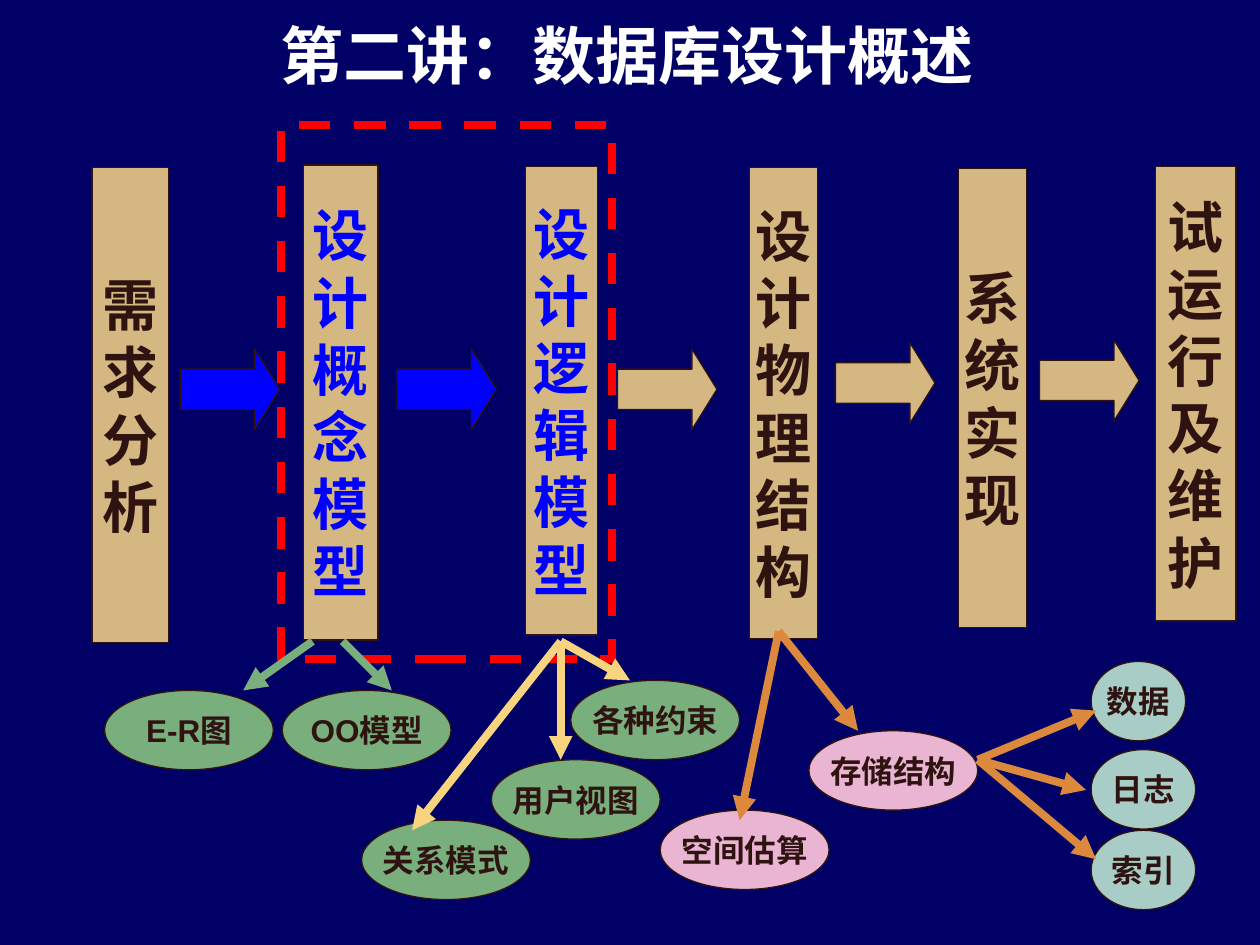
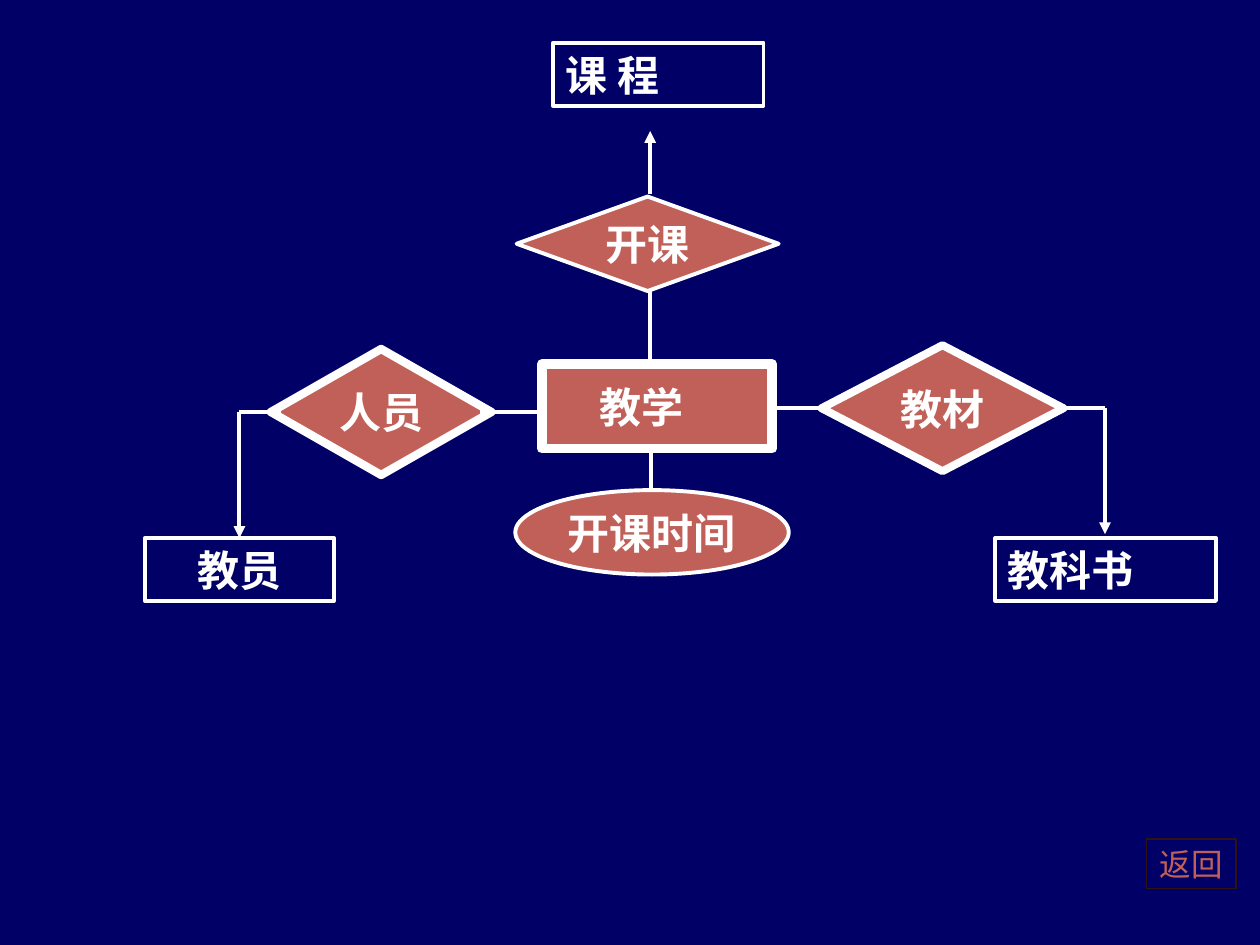
import pptx
import pptx.dml.color
import pptx.enum.dml
import pptx.enum.shapes
import pptx.enum.text
import pptx.oxml.ns
import pptx.util
from lxml import etree

Inches = pptx.util.Inches
Pt = pptx.util.Pt
SHAPE = pptx.enum.shapes.MSO_SHAPE
ALIGN = pptx.enum.text.PP_ALIGN
ANCHOR = pptx.enum.text.MSO_ANCHOR

COLOURS = {
    "navy": "000066", "white": "FFFFFF", "brown": "2F1311", "tan": "D5B781",
    "blue": "0000FF", "red": "FF0000", "green": "79AF7D", "yellow": "F7D47D",
    "pink": "E9B5D3", "orange": "DC893E", "teal": "A8CCC6", "brick": "C16059",
}
CJK_FONT = "Noto Sans CJK SC"
LABEL = {"name": "Arial", "size": Pt(18), "bold": True}
STAGE = {"name": CJK_FONT, "size": Pt(32), "bold": True}
ENTITY = {"name": CJK_FONT, "size": Pt(24), "bold": True}
TITLE = {"name": "Arial", "size": Pt(36), "bold": True}


def set_values(target, values):
    for name, value in values.items():
        setattr(target, name, value)


def colour(name):
    return pptx.dml.color.RGBColor.from_string(COLOURS[name])


def add_element(parent, tag, **attributes):
    etree.SubElement(parent, pptx.oxml.ns.qn(tag), attributes)


class Deck:
    """Holds the presentation, the current page and the place new shapes go."""

    def __init__(self):
        self.deck = pptx.Presentation()
        set_values(self.deck, {"slide_width": Inches(10), "slide_height": Inches(7.5)})

    def new_page(self):
        self.page = self.deck.slides.add_slide(self.deck.slide_layouts[6])
        self.page.background.fill.solid()
        self.page.background.fill.fore_color.rgb = colour("navy")
        self.shapes = self.page.shapes

    def start_group(self):
        self.shapes = self.page.shapes.add_group_shape().shapes

    def end_group(self):
        self.shapes = self.page.shapes

    def shape(self, kind, place, fill=None, line="brown", width=0.75):
        box = self.shapes.add_shape(kind, *map(Inches, place))
        box.shadow.inherit = False
        if fill:
            box.fill.solid()
            box.fill.fore_color.rgb = colour(fill)
        else:
            box.fill.background()
        box.line.color.rgb = colour(line)
        box.line.width = Pt(width)
        return box

    def add_text(self, box, lines, style, ink, align=ALIGN.CENTER, **frame_values):
        """Set one paragraph per item of lines."""
        frame = box.text_frame
        set_values(frame, {"word_wrap": False, "vertical_anchor": ANCHOR.MIDDLE, **frame_values})
        for index, text in enumerate(lines):
            para = frame.add_paragraph() if index else frame.paragraphs[0]
            para.alignment = align
            span = para.add_run()
            span.text = text
            set_values(span.font, style)
            span.font.color.rgb = colour(ink)
            add_element(span.font._element, "a:ea", typeface=CJK_FONT)

    def title(self, text):
        box = self.shapes.add_textbox(*map(Inches, (1.36, 0.13, 7.24, 0.6)))
        no_margins = dict.fromkeys(
            ("margin_left", "margin_top", "margin_right", "margin_bottom"), 0)
        self.add_text(box, [text], TITLE, "white", word_wrap=True, **no_margins)

    def stage(self, text, place, ink="brown"):
        """Draw a tall bar with its text set one character a line."""
        self.add_text(self.shape(SHAPE.RECTANGLE, place, "tan"), text, STAGE, ink)

    def step_arrow(self, left, top, fill):
        arrow = self.shape(SHAPE.RIGHT_ARROW, (left, top, 0.79, 0.64), fill)
        arrow.adjustments[1] = 0.31

    def bubble(self, text, left, top, fill, width=1.34):
        box = self.shape(SHAPE.OVAL, (left, top, width, 0.63), fill)
        self.add_text(box, [text], LABEL, "brown")

    def node(self, kind, text, place, width=2.25, **frame_values):
        box = self.shape(kind, place, "brick", "white", width)
        self.add_text(box, [text], ENTITY, "white", **frame_values)

    def entity(self, text, place, align=ALIGN.LEFT):
        box = self.shape(SHAPE.RECTANGLE, place, None, "white", 2.25)
        self.add_text(box, [text], ENTITY, "white", align,
                      word_wrap=True, vertical_anchor=ANCHOR.TOP)

    def link(self, start, end, ink="white", width=2.25, arrow=False):
        line = self.shapes.add_connector(
            pptx.enum.shapes.MSO_CONNECTOR.STRAIGHT, *map(Inches, (*start, *end)))
        line.line.color.rgb = colour(ink)
        line.line.width = Pt(width)
        properties = line.element.spPr
        if arrow:
            add_element(properties.find(pptx.oxml.ns.qn("a:ln")), "a:tailEnd", type="triangle")
        add_element(properties, "a:effectLst")

    def fan(self, start, ends, ink):
        """Draw thick arrows from one point to several."""
        for end in ends:
            self.link(start, end, ink, 4.5, arrow=True)


def build_design_stages(deck):
    deck.new_page()
    for text, place, ink in (
        ("需求分析", (0.73, 1.33, 0.61, 3.77), "brown"),
        ("设计概念模型", (2.41, 1.31, 0.59, 3.77), "blue"),
        ("设计逻辑模型", (4.17, 1.32, 0.57, 3.72), "blue"),
        ("设计物理结构", (5.95, 1.33, 0.54, 3.74), "brown"),
        ("系统实现", (7.61, 1.34, 0.54, 3.64), "brown"),
        ("试运行及维护", (9.17, 1.32, 0.64, 3.61), "brown"),
    ):
        deck.stage(text, place, ink)
    for left, top, fill in (
        (1.43, 2.77, "blue"), (3.15, 2.77, "blue"), (4.9, 2.77, "tan"),
        (6.63, 2.72, "tan"), (8.25, 2.7, "tan"),
    ):
        deck.step_arrow(left, top, fill)

    focus = deck.shape(SHAPE.RECTANGLE, (2.23, 0.99, 2.63, 4.24), None, "red", 4.5)
    focus.line.dash_style = pptx.enum.dml.MSO_LINE.DASH

    deck.bubble("E-R图", 0.83, 5.48, "green")
    deck.bubble("OO模型", 2.24, 5.48, "green")
    deck.fan((2.48, 5.09), [(1.93, 5.48)], "green")
    deck.fan((2.72, 5.09), [(3.11, 5.48)], "green")

    deck.bubble("关系模式", 2.87, 6.51, "green")
    deck.bubble("用户视图", 3.9, 6.03, "green")
    deck.bubble("各种约束", 4.53, 5.4, "green")
    deck.fan((4.45, 5.09), [(3.27, 6.59), (4.45, 6.03), (5, 5.4)], "yellow")

    deck.bubble("空间估算", 5.24, 6.43, "pink")
    deck.bubble("存储结构", 6.42, 5.8, "pink")
    deck.fan((6.18, 5.01), [(5.87, 6.51), (6.81, 5.8)], "orange")

    deck.bubble("数据", 8.66, 5.25, "teal", 0.75)
    deck.bubble("日志", 8.66, 5.95, "teal", 0.83)
    deck.bubble("索引", 8.66, 6.59, "teal", 0.83)
    deck.fan((7.76, 6.03), [(8.7, 5.64), (8.62, 6.27), (8.7, 6.82)], "orange")
    deck.title("第二讲：数据库设计概述")


def build_teaching_diagram(deck):
    deck.new_page()
    deck.entity("课 程", (4.39, 0.34, 1.67, 0.5))
    deck.entity("教员", (1.15, 4.27, 1.5, 0.5), ALIGN.CENTER)
    deck.entity("教科书", (7.9, 4.27, 1.75, 0.5))

    deck.start_group()
    deck.node(SHAPE.DIAMOND, "人员", (2.15, 2.77, 1.75, 1), 4.75)
    deck.link((3.81, 3.27), (4.31, 3.27))
    deck.link((1.9, 3.27), (2.23, 3.27))
    deck.link((1.9, 3.27), (1.9, 4.27), arrow=True)

    deck.start_group()
    deck.node(SHAPE.DIAMOND, "教材", (6.52, 2.74, 1.92, 1), 4.5)
    deck.link((6.56, 3.24), (6.15, 3.24))
    deck.link((8.44, 3.24), (8.77, 3.24))
    deck.link((8.77, 3.24), (8.77, 4.24), arrow=True)

    deck.start_group()
    deck.link((5.16, 1.54), (5.16, 1.04), arrow=True)
    deck.link((5.16, 2.31), (5.16, 2.89))
    deck.node(SHAPE.DIAMOND, "开课", (4.1, 1.56, 2.08, 0.75))

    deck.start_group()
    deck.node(SHAPE.OVAL, "开课时间", (4.09, 3.89, 2.17, 0.67))
    deck.link((5.17, 3.56), (5.17, 3.89))
    deck.node(SHAPE.RECTANGLE, "教学", (4.3, 2.89, 1.83, 0.67), 5.5, word_wrap=True,
              margin_left=0, margin_top=0, margin_right=Inches(0.25), margin_bottom=0)
    deck.end_group()

    button = deck.shape(SHAPE.RECTANGLE, (9.1, 6.66, 0.71, 0.39), "navy")
    deck.add_text(button, ["返回"], {**LABEL, "bold": False}, "brick")


def main():
    deck = Deck()
    build_design_stages(deck)
    build_teaching_diagram(deck)
    deck.deck.save("out.pptx")


if __name__ == "__main__":
    main()
